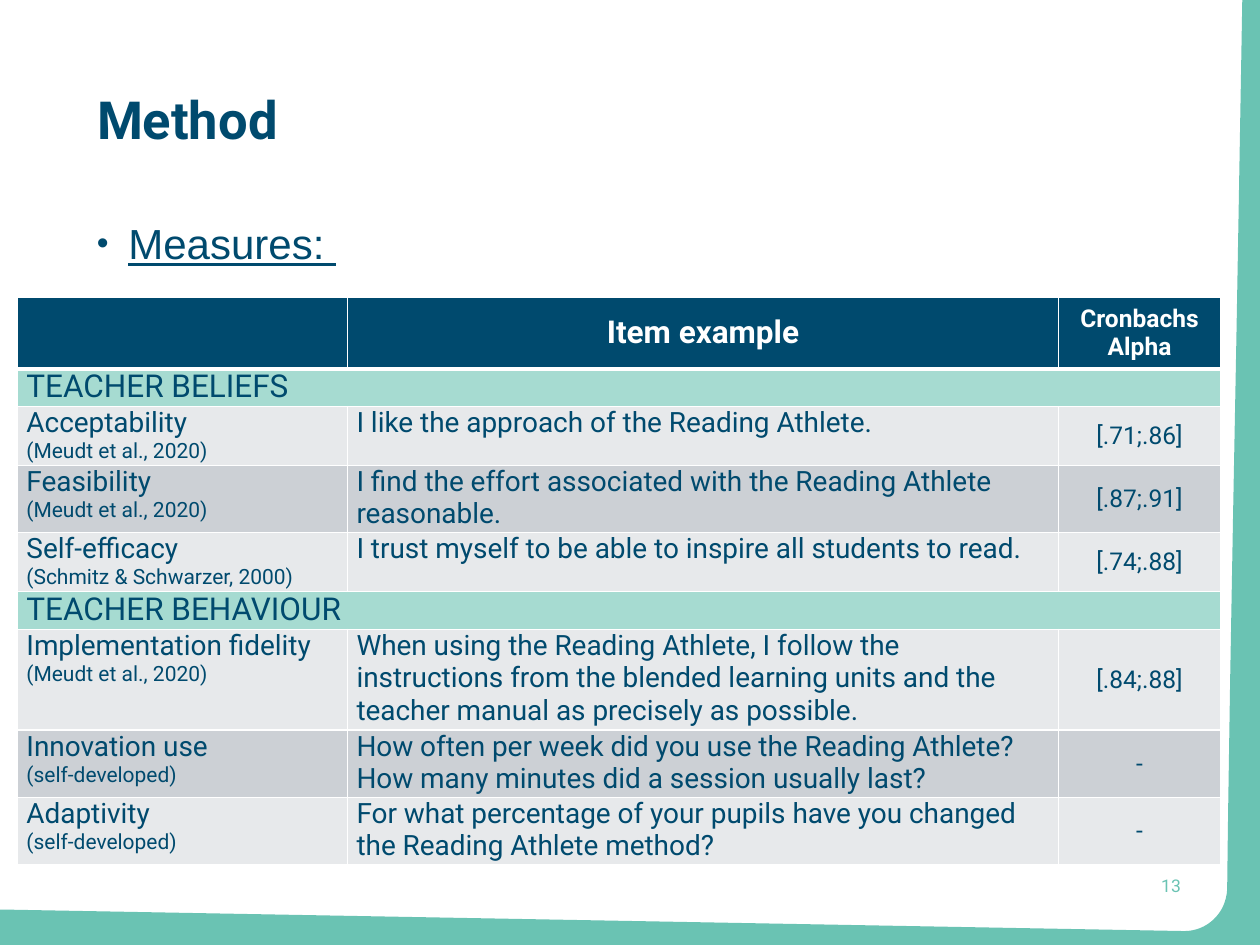
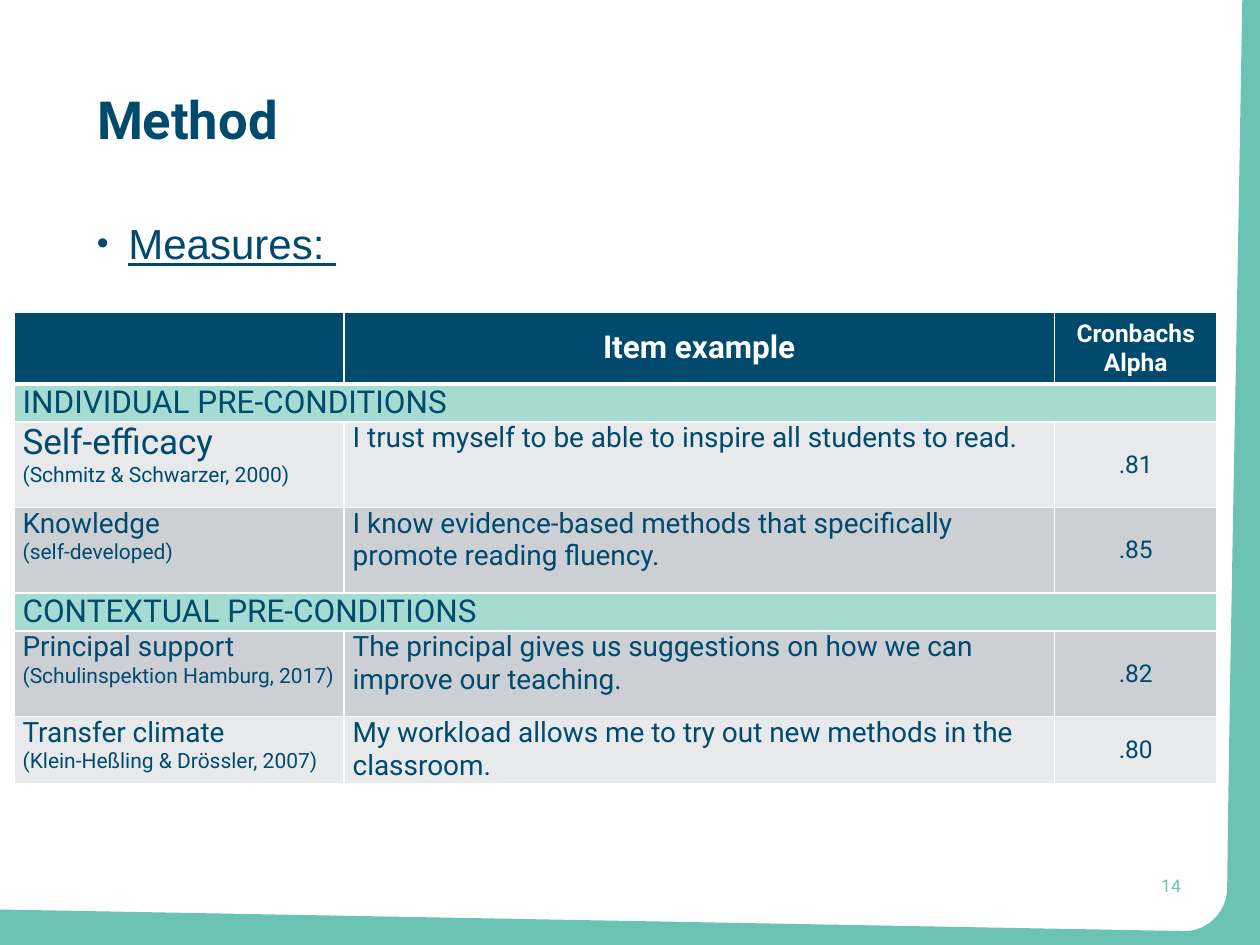
from dataclasses import dataclass

from lxml import etree
from pptx import Presentation
from pptx.dml.color import RGBColor as RGB
from pptx.enum.text import MSO_ANCHOR as ANCHOR, PP_ALIGN as ALIGN
from pptx.oxml.ns import qn
from pptx.util import Inches, Pt


@dataclass(frozen=True)
class Theme:
    navy: RGB = RGB.from_string("004A6E")
    teal: RGB = RGB.from_string("6AC3B3")
    mint: RGB = RGB.from_string("A6DBD1")
    light: RGB = RGB.from_string("E7E9EB")
    dark: RGB = RGB.from_string("CCD0D5")
    white: RGB = RGB.from_string("FFFFFF")
    font: str = "Roboto"
    body_font: str = "Arial"
    title: int = 30
    body: int = 24
    section: int = 18
    term_large: int = 20
    item: int = 16
    alpha: int = 14
    source: int = 12
    number: int = 10


T = Theme()


def style(p, size, color, bold=False, align=ALIGN.LEFT, font=T.font):
    p.alignment = align
    for r in p.runs:
        r.font.name, r.font.size, r.font.bold = font, Pt(size), bold
        r.font.color.rgb = color


def fill_cell(cell, fill, bottom=1):
    tcPr = cell._tc.get_or_add_tcPr()
    for side, width in (("lnL", 1), ("lnR", 1), ("lnT", 1), ("lnB", bottom)):
        ln = etree.SubElement(tcPr, qn(f"a:{side}"), w=str(Pt(width)))
        solid = etree.SubElement(ln, qn("a:solidFill"))
        etree.SubElement(solid, qn("a:srgbClr"), val=str(T.white))
    cell.fill.solid()
    cell.fill.fore_color.rgb = fill


COLUMNS = (2.62, 5.64, 1.29)
HEADERS = (("", T.section), ("Item example", T.section), ("Cronbachs Alpha", T.alpha))
HEADER_H, SECTION_H = 0.56, 0.29

SLIDES = [
    (13, 0.14, 2.36, [
        ("TEACHER BELIEFS",),
        (0.46, T.item, "Acceptability", "(Meudt et al., 2020)",
         "I like the approach of the Reading Athlete.", "[.71;.86]"),
        (0.52, T.item, "Feasibility", "(Meudt et al., 2020)",
         "I find the effort associated with the Reading Athlete reasonable.", "[.87;.91]"),
        (0.46, T.item, "Self-efficacy", "(Schmitz & Schwarzer, 2000)",
         "I trust myself to be able to inspire all students to read.", "[.74;.88]"),
        ("TEACHER BEHAVIOUR",),
        (0.78, T.item, "Implementation fidelity", "(Meudt et al., 2020)",
         "When using the Reading Athlete, I follow the instructions from the blended "
         "learning units and the teacher manual as precisely as possible.", "[.84;.88]"),
        (0.52, T.item, "Innovation use", "(self-developed)",
         "How often per week did you use the Reading Athlete?\n"
         "How many minutes did a session usually last?", "-"),
        (0.52, T.item, "Adaptivity", "(self-developed)",
         "For what percentage of your pupils have you changed the Reading Athlete method?", "-"),
    ]),
    (14, 0.11, 2.48, [
        ("INDIVIDUAL PRE-CONDITIONS",),
        (0.68, T.term_large, "Self-efficacy", "(Schmitz & Schwarzer, 2000)",
         "I trust myself to be able to inspire all students to read.", ".81"),
        (0.68, T.item, "Knowledge", "(self-developed)",
         "I know evidence-based methods that specifically promote reading fluency.", ".85"),
        ("CONTEXTUAL PRE-CONDITIONS",),
        (0.68, T.item, "Principal support", "(Schulinspektion Hamburg, 2017)",
         "The principal gives us suggestions on how we can improve our teaching.", ".82"),
        (0.52, T.item, "Transfer climate", "(Klein-Heßling & Drössler, 2007)",
         "My workload allows me to try out new methods in the classroom.", ".80"),
    ]),
]

FRAME_CURVES = [
    ((9.4, 7.39), (9.58, 7.39), (9.73, 7.25), (9.74, 7.06)),
    ((9.74, 7.06), (9.76, 5.3), (9.8, 3.51), (9.83, 1.73)),
]
frame = [(10, 0), (10, 7.5), (0, 7.5), (0, 7.22), (0.06, 7.22), (9.4, 7.39)]
for a, b, c, d in FRAME_CURVES:
    for step in range(1, 17):
        t = step / 16
        u = 1 - t
        frame.append(tuple(
            u**3 * a[i] + 3 * u**2 * t * b[i] + 3 * u * t**2 * c[i] + t**3 * d[i]
            for i in (0, 1)))

prs = Presentation()
prs.slide_width, prs.slide_height = Inches(10), Inches(7.5)

for number, left, top, rows in SLIDES:
    s = prs.slides.add_slide(prs.slide_layouts[5])

    fb = s.shapes.build_freeform(Inches(9.86), 0)
    fb.add_line_segments([(Inches(x), Inches(y)) for x, y in frame], close=True)
    sp = fb.convert_to_shape()
    sp.shadow.inherit = False
    sp.fill.solid()
    sp.fill.fore_color.rgb = T.teal
    sp.line.fill.background()

    title = s.shapes.title
    title.left, title.top = Inches(0.67), Inches(0.39)
    title.width, title.height = Inches(8.25), Inches(1.1)
    title.text_frame.text = "Method"
    title.text_frame.vertical_anchor = ANCHOR.MIDDLE
    style(title.text_frame.paragraphs[0], T.title, T.navy, bold=True)

    tf = s.shapes.add_textbox(Inches(7.14), Inches(6.89), Inches(2.33), Inches(0.27)).text_frame
    tf.word_wrap = True
    tf.vertical_anchor = ANCHOR.MIDDLE
    tf.text = str(number)
    style(tf.paragraphs[0], T.number, T.teal, align=ALIGN.RIGHT)

    heights = [HEADER_H] + [SECTION_H if len(row) == 1 else row[0] for row in rows]
    table = s.shapes.add_table(len(heights), len(COLUMNS), Inches(left), Inches(top),
                               Inches(sum(COLUMNS)), Inches(sum(heights))).table
    for column, width in zip(table.columns, COLUMNS):
        column.width = Inches(width)
    for table_row, height in zip(table.rows, heights):
        table_row.height = Inches(height)

    for c, (text, size) in enumerate(HEADERS):
        cell = table.cell(0, c)
        fill_cell(cell, T.navy, bottom=3)
        cell.vertical_anchor = ANCHOR.MIDDLE
        if text:
            cell.text_frame.text = text
            style(cell.text_frame.paragraphs[0], size, T.white, bold=True, align=ALIGN.CENTER)

    for i, row in enumerate(rows, 1):
        cells = [table.cell(i, c) for c in range(len(COLUMNS))]
        is_section = len(row) == 1
        band = T.mint if is_section else T.dark if i % 2 else T.light
        for cell in cells:
            fill_cell(cell, band)
        for cell in cells if is_section else cells[:2]:
            cell.margin_left = cell.margin_right = Inches(0.07)
            cell.margin_top = cell.margin_bottom = 0
        if is_section:
            cells[0].merge(cells[-1])
            cells[0].text_frame.text = row[0]
            style(cells[0].text_frame.paragraphs[0], T.section, T.navy)
            continue
        _, term_size, term, source, item, alpha = row
        cells[0].text_frame.text = f"{term}\n{source}"
        for p, size in zip(cells[0].text_frame.paragraphs, (term_size, T.source)):
            style(p, size, T.navy)
        cells[1].text_frame.text = item
        for p in cells[1].text_frame.paragraphs:
            style(p, T.item, T.navy)
        cells[2].text_frame.text = alpha
        cells[2].vertical_anchor = ANCHOR.MIDDLE
        style(cells[2].text_frame.paragraphs[0], T.alpha, T.navy, align=ALIGN.CENTER)

    tf = s.shapes.add_textbox(Inches(0.67), Inches(1.68), Inches(8.25), Inches(0.49)).text_frame
    tf.word_wrap = True
    tf.text = "Measures: "
    p = tf.paragraphs[0]
    p.space_after = Pt(6)
    pPr = p._p.get_or_add_pPr()
    pPr.set("marL", str(Inches(0.25)))
    pPr.set("indent", str(-Inches(0.25)))
    etree.SubElement(pPr, qn("a:buSzPct"), val="80000")
    etree.SubElement(pPr, qn("a:buFont"), typeface=T.body_font)
    etree.SubElement(pPr, qn("a:buChar"), char="•")
    style(p, T.body, T.navy, font=T.body_font)
    p.runs[0].font.underline = True

prs.save("out.pptx")
